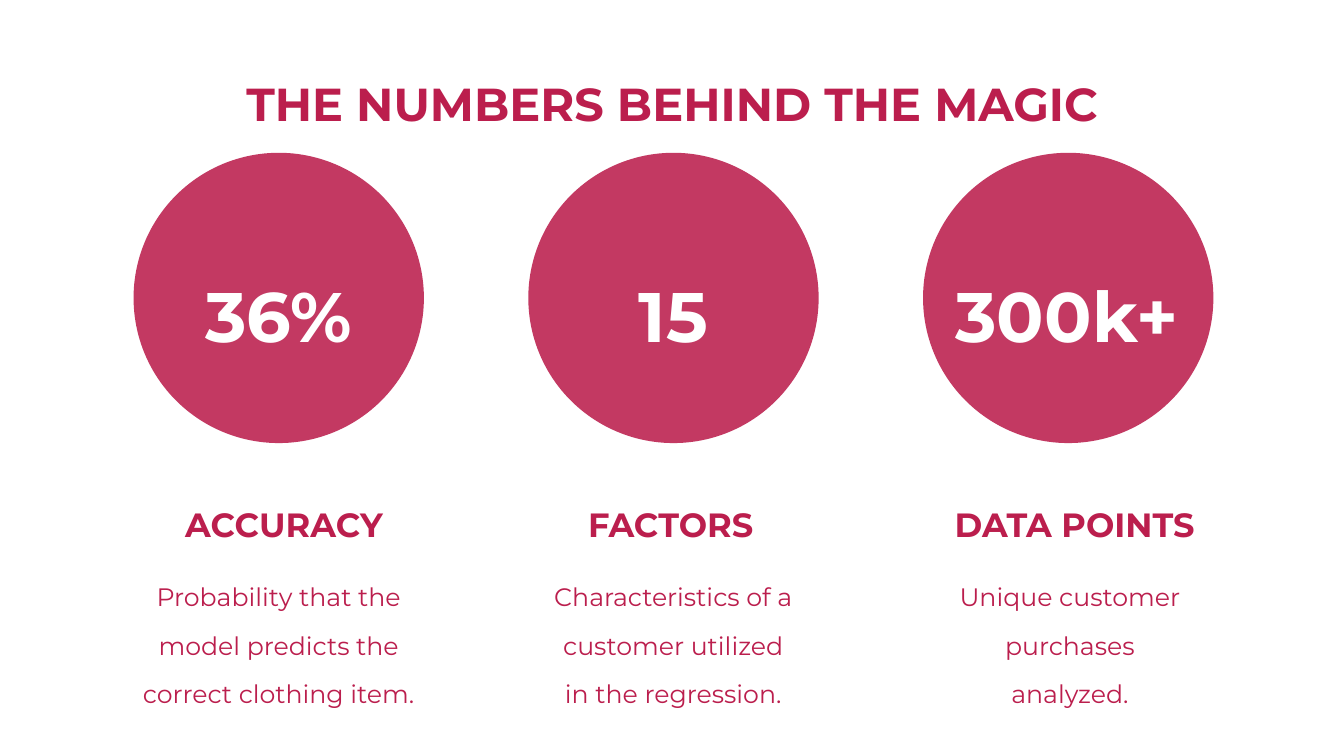
from dataclasses import dataclass
from typing import Any

from lxml import etree
from pptx import Presentation
from pptx import util as u
from pptx.dml.color import RGBColor
from pptx.enum import shapes, text
from pptx.oxml import ns

CRIMSON = RGBColor(0xBB, 0x1E, 0x4D)
WHITE = RGBColor(0xFF, 0xFF, 0xFF)
FONT_NAME = "Montserrat"
CIRCLE_LEFT, CIRCLE_TOP, CIRCLE_SIZE, CIRCLE_PITCH = 6.73, 7.7, 14.63, 19.89
CIRCLE_OPACITY = 88


@dataclass(frozen=True)
class TextStyle:
    top: float
    height: float
    font: dict[str, Any]
    color: RGBColor = CRIMSON
    line_spacing: float = 1.0
    anchor: text.MSO_ANCHOR = text.MSO_ANCHOR.TOP
    inset_x: float = 0.25
    inset_y: float = 0.13


@dataclass(frozen=True)
class TextLine:
    wording: str
    left: float
    width: float


@dataclass(frozen=True)
class Statistic:
    number: TextLine
    label: TextLine
    caption: TextLine


TITLE_STYLE = TextStyle(2.21, 3.38, {"size": u.Pt(66), "bold": True}, line_spacing=1.52)
NUMBER_STYLE = TextStyle(12.75, 4.52, {"size": u.Pt(100), "bold": True}, WHITE, 1.2)
LABEL_STYLE = TextStyle(
    24.94, 2.92, {"size": u.Pt(48), "bold": True}, anchor=text.MSO_ANCHOR.MIDDLE
)
CAPTION_STYLE = TextStyle(
    28.12, 6.58, {"size": u.Pt(36), "bold": False},
    line_spacing=1.59, inset_x=0.61, inset_y=0.3,
)

TITLE = TextLine("THE NUMBERS BEHIND THE MAGIC", 10.69, 46.36)
STATISTICS = [
    Statistic(
        TextLine("36%", 9.6, 8.86),
        TextLine("ACCURACY", 7.29, 14.05),
        TextLine("Probability that the model predicts the correct clothing item.", 6.1, 15.88),
    ),
    Statistic(
        TextLine("15", 27.2, 13.44),
        TextLine("FACTORS", 26.34, 14.91),
        TextLine("Characteristics of a customer utilized in the regression.", 27.2, 13.44),
    ),
    Statistic(
        TextLine("300k+", 47.04, 13.44),
        TextLine("DATA POINTS", 47.19, 13.92),
        TextLine("Unique customer purchases analyzed.", 47.19, 13.44),
    ),
]


def apply_format(target: Any, values: dict[str, Any]) -> None:
    """Set each named attribute of the target."""
    for name, value in values.items():
        setattr(target, name, value)


def draw_text(slide: Any, line: TextLine, style: TextStyle) -> None:
    """Draw one centred line of wording in the given style."""
    box = slide.shapes.add_textbox(
        u.Cm(line.left), u.Cm(style.top), u.Cm(line.width), u.Cm(style.height)
    )
    frame = box.text_frame
    apply_format(frame, {
        "word_wrap": True,
        "vertical_anchor": style.anchor,
        "margin_left": u.Cm(style.inset_x),
        "margin_right": u.Cm(style.inset_x),
        "margin_top": u.Cm(style.inset_y),
        "margin_bottom": u.Cm(style.inset_y),
    })
    paragraph = frame.paragraphs[0]
    apply_format(paragraph, {
        "alignment": text.PP_ALIGN.CENTER,
        "line_spacing": style.line_spacing,
    })
    run = paragraph.add_run()
    run.text = line.wording
    apply_format(run.font, {"name": FONT_NAME, **style.font})
    run.font.color.rgb = style.color


def draw_circle(slide: Any, column: int) -> None:
    """Draw the translucent circle of one column."""
    circle = slide.shapes.add_shape(
        shapes.MSO_SHAPE.OVAL,
        u.Cm(CIRCLE_LEFT + column * CIRCLE_PITCH), u.Cm(CIRCLE_TOP),
        u.Cm(CIRCLE_SIZE), u.Cm(CIRCLE_SIZE),
    )
    circle.shadow.inherit = False
    circle.line.fill.background()
    circle.fill.solid()
    circle.fill.fore_color.rgb = CRIMSON
    color = circle.element.spPr.find(ns.qn("a:solidFill"))[0]
    etree.SubElement(color, ns.qn("a:alpha")).set("val", str(CIRCLE_OPACITY * 1000))


def main() -> None:
    """Build the slide of three key numbers and save it."""
    presentation = Presentation()
    apply_format(presentation, {"slide_width": u.Cm(67.72), "slide_height": u.Cm(38.1)})
    slide = presentation.slides.add_slide(presentation.slide_layouts[6])
    draw_text(slide, TITLE, TITLE_STYLE)
    for column, statistic in enumerate(STATISTICS):
        draw_circle(slide, column)
        draw_text(slide, statistic.number, NUMBER_STYLE)
        draw_text(slide, statistic.label, LABEL_STYLE)
        draw_text(slide, statistic.caption, CAPTION_STYLE)
    presentation.save("out.pptx")


if __name__ == "__main__":
    main()
